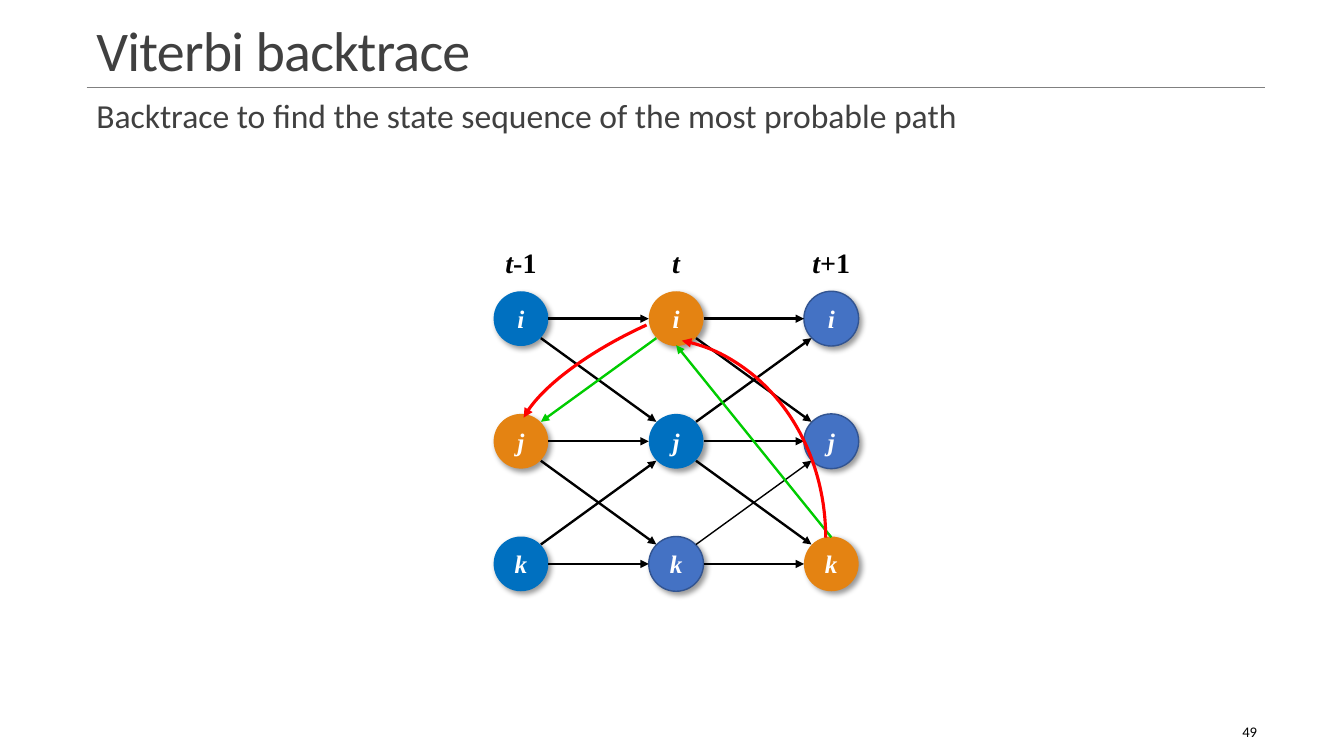
from pptx import Presentation
from pptx.dml.color import RGBColor
from pptx.enum.shapes import MSO_CONNECTOR, MSO_SHAPE
from pptx.enum.text import MSO_ANCHOR, PP_ALIGN
from pptx.oxml import parse_xml
from pptx.oxml.ns import nsdecls
from pptx.util import Cm, Pt

OVAL, ARC = MSO_SHAPE.OVAL, MSO_SHAPE.ARC
LINE = MSO_CONNECTOR.STRAIGHT
TOP, MIDDLE, BOTTOM = MSO_ANCHOR.TOP, MSO_ANCHOR.MIDDLE, MSO_ANCHOR.BOTTOM
LEFT, CENTER, RIGHT = PP_ALIGN.LEFT, PP_ALIGN.CENTER, PP_ALIGN.RIGHT

BLACK = RGBColor(0, 0, 0)
WHITE = RGBColor(255, 255, 255)
DARK = RGBColor(0x40, 0x40, 0x40)
GRAY = RGBColor(0x80, 0x80, 0x80)
BLUE = RGBColor(0x00, 0x70, 0xC0)
INDIGO = RGBColor(0x44, 0x72, 0xC4)
NAVY = RGBColor(0x32, 0x54, 0x91)
ORANGE = RGBColor(0xE4, 0x83, 0x12)
GREEN = RGBColor(0x00, 0xCC, 0x00)
RED = RGBColor(0xFF, 0, 0)

SHADOW = (f'<a:effectLst {nsdecls("a")}><a:outerShdw blurRad="50800" dist="38100" '
          'dir="2700000" algn="tl" rotWithShape="0"><a:srgbClr val="000000">'
          '<a:alpha val="40000"/></a:srgbClr></a:outerShdw></a:effectLst>')

deck = Presentation()
deck.slide_width, deck.slide_height = Cm(33.87), Cm(19.05)
slide = deck.slides.add_slide(deck.slide_layouts[6])
shapes = slide.shapes


def add_text(box, words, size, color, font="Calibri", anchor=TOP, align=LEFT):
    frame = box.text_frame
    frame.word_wrap = True
    frame.vertical_anchor = anchor
    para = frame.paragraphs[0]
    para.alignment = align
    for word in words:
        para.add_run().text = word
    para.font.size, para.font.name = Pt(size), font
    para.font.color.rgb = color
    return para


def add_line(x1, y1, x2, y2, color, width, end=None):
    """Draw a line; end is headEnd (arrow at start), tailEnd or None."""
    line = shapes.add_connector(LINE, Cm(x1), Cm(y1), Cm(x2), Cm(y2))
    line.line.color.rgb, line.line.width = color, Pt(width)
    if end:
        line.line._get_or_add_ln().append(
            parse_xml(f'<a:{end} {nsdecls("a")} type="triangle"/>'))
    line._element.spPr.append(parse_xml(f'<a:effectLst {nsdecls("a")}/>'))


# Title, rule and body text
add_line(2.18, 2.21, 31.88, 2.21, GRAY, 0.5)
title = shapes.add_textbox(Cm(2.18), Cm(0.33), Cm(29.72), Cm(1.88))
para = add_text(title, ["Viterbi backtrace"], 40, DARK, anchor=BOTTOM)
para.line_spacing = 0.85
para.runs[0]._r.get_or_add_rPr().set("spc", "-50")

body = shapes.add_textbox(Cm(2.18), Cm(2.39), Cm(29.72), Cm(15.11))
para = add_text(body, ["Backtrace to find the state sequence of the most probable path"],
                24, DARK)
para.line_spacing = 0.9

# Trellis nodes: one column per time step, one row per state
COLS = [13.13 + 3.91 * n for n in range(3)]
ROWS = [8.03 + 3.09 * n for n in range(3)]
SIZE = 1.38
STATES = "ijk"
TIMES = [["t", "-1"], ["t"], ["t", "+1"]]
FILLS = [[BLUE, ORANGE, BLUE], [ORANGE, BLUE, INDIGO], [INDIGO, INDIGO, ORANGE]]

for x, time, fills in zip(COLS, TIMES, FILLS):
    label = shapes.add_textbox(Cm(x - 0.9), Cm(6.05), Cm(1.8), Cm(1.11))
    para = add_text(label, time, 20, BLACK, "Times New Roman", align=CENTER)
    para.font.bold = True
    para.runs[0].font.italic = True
    for y, state, fill in zip(ROWS, STATES, fills):
        node = shapes.add_shape(OVAL, Cm(x - SIZE / 2), Cm(y - SIZE / 2),
                                Cm(SIZE), Cm(SIZE))
        node.fill.solid()
        node.fill.fore_color.rgb = fill
        if fill == INDIGO:
            node.line.color.rgb, node.line.width = NAVY, Pt(1)
        else:
            node.line.fill.background()
        node._element.spPr.append(parse_xml(SHADOW))
        frame = node.text_frame
        frame.margin_left = frame.margin_right = 0
        frame.margin_top = frame.margin_bottom = 0
        para = add_text(node, [state], 18, WHITE, "Times New Roman", MIDDLE, CENTER)
        para.font.bold = para.font.italic = True

# Transitions between neighbouring states
for col in range(2):
    for row in range(3):
        for goal in range(3):
            step = goal - row
            if abs(step) > 1:
                continue
            dx = 0.5 if step else SIZE / 2
            dy = 0.49 * step
            color, width, end = BLACK, 1.7, "tailEnd"
            if (col, row, goal) == (0, 1, 0):
                color, end = GREEN, "headEnd"
            elif (col, row, goal) == (1, 2, 1):
                width = 1
            add_line(COLS[col] + dx, ROWS[row] + dy,
                     COLS[col + 1] - dx, ROWS[goal] - dy, color, width, end)

# Backtrace from the last step
add_line(COLS[1], ROWS[0] + 0.67, COLS[2], ROWS[2] - 0.67, GREEN, 1.7, "headEnd")
for x, y, wide, high, turn in [(12.07, 8.51, 8.74, 10.08, 0),
                               (15.47, 5.33, 2.82, 8.28, 245.5)]:
    arc = shapes.add_shape(ARC, Cm(x), Cm(y), Cm(wide), Cm(high))
    arc.adjustments[0], arc.adjustments[1] = 167.13, 0
    arc.rotation = turn
    arc.shadow.inherit = False
    arc.fill.background()
    arc.line.color.rgb, arc.line.width = RED, Pt(2.25)
    arc.line._get_or_add_ln().append(
        parse_xml(f'<a:headEnd {nsdecls("a")} type="triangle"/>'))

# Slide number
number = shapes.add_textbox(Cm(28.3), Cm(17.93), Cm(3.63), Cm(1.02))
add_text(number, ["49"], 10.5, BLACK, anchor=MIDDLE, align=RIGHT)

deck.save("out.pptx")
